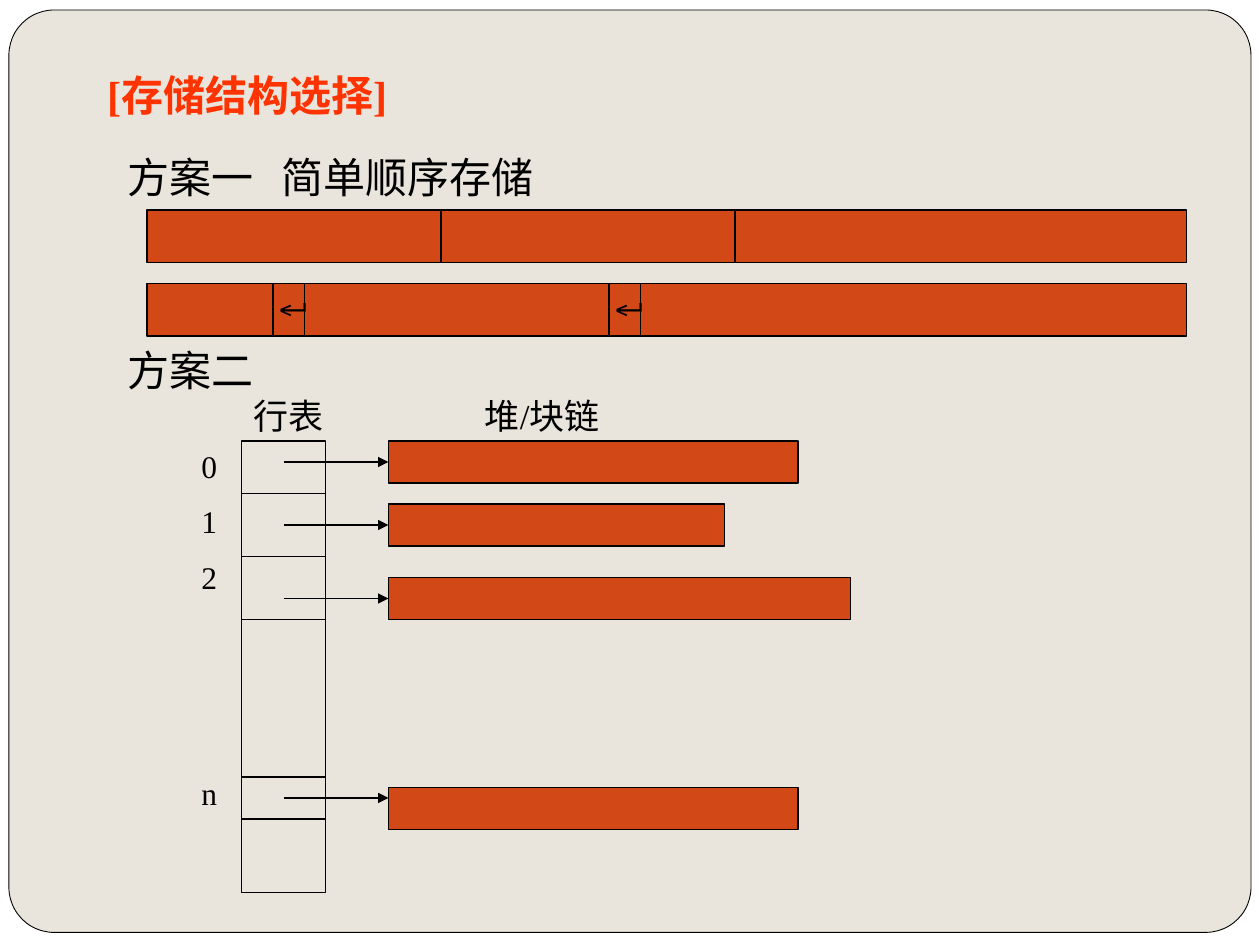
import pptx
import pptx.util
import pptx.dml.color
import pptx.enum.shapes
import pptx.enum.text
import pptx.oxml
import pptx.oxml.ns

Inches, Pt = pptx.util.Inches, pptx.util.Pt
RGB = pptx.dml.color.RGBColor
KIND = pptx.enum.shapes.MSO_SHAPE
WIRE = pptx.enum.shapes.MSO_CONNECTOR.STRAIGHT
NS = pptx.oxml.ns.nsdecls("a")

BLACK = RGB(0x00, 0x00, 0x00)
WHITE = RGB(0xFF, 0xFF, 0xFF)
SAND = RGB(0xE9, 0xE5, 0xDC)
RUST = RGB(0xD3, 0x48, 0x17)
RED = RGB(0xFF, 0x33, 0x00)
FONT = "Times New Roman"
COLS, ROWS = 120, 90

prs = pptx.Presentation()
prs.slide_width, prs.slide_height = Inches(10), Inches(7.5)
CELL = prs.slide_width / COLS


def grid(*cells):
    return [round(c * CELL) for c in cells]


def style(par, size, color=BLACK, bold=False):
    for run in par.runs:
        font = run.font
        font.name, font.size, font.bold = FONT, Pt(size), bold
        font.color.rgb = color


def label(slide, box, text, size, bold=False, tab=None):
    shape = slide.shapes.add_textbox(*grid(*box))
    frame = shape.text_frame
    frame.word_wrap = True
    frame.text = text
    for par in frame.paragraphs:
        if tab:
            stop = f'<a:tabLst {NS}><a:tab pos="{grid(tab)[0]}" algn="l"/></a:tabLst>'
            par._p.get_or_add_pPr().append(pptx.oxml.parse_xml(stop))
        style(par, size, bold=bold)
    return frame


def block(slide, box, fill=RUST, kind=KIND.RECTANGLE, width=0.75):
    shape = slide.shapes.add_shape(kind, *grid(*box))
    shape.shadow.inherit = False
    if fill is None:
        shape.fill.background()
    else:
        shape.fill.solid()
        shape.fill.fore_color.rgb = fill
    shape.line.color.rgb = BLACK
    shape.line.width = Pt(width)
    return shape


def rule(slide, ends, arrow=False):
    wire = slide.shapes.add_connector(WIRE, *grid(*ends))
    wire.line.color.rgb = BLACK
    wire.line.width = Pt(0.75)
    if arrow:
        tip = pptx.oxml.parse_xml(f'<a:tailEnd {NS} type="triangle"/>')
        wire.line._get_or_add_ln().append(tip)
    wire._element.spPr.append(pptx.oxml.parse_xml(f"<a:effectLst {NS}/>"))


def panel(slide, box):
    slide.background.fill.solid()
    slide.background.fill.fore_color.rgb = WHITE
    shape = block(slide, box, SAND, KIND.ROUNDED_RECTANGLE, 0.5)
    shape.adjustments[0] = 0.049
    slide.shapes._spTree.insert(2, shape._element)


def heading(slide, box, text):
    title = slide.shapes.title
    title.left, title.top, title.width, title.height = grid(*box)
    frame = title.text_frame
    frame.text = text
    frame.vertical_anchor = pptx.enum.text.MSO_ANCHOR.MIDDLE
    par = frame.paragraphs[0]
    par.alignment = pptx.enum.text.PP_ALIGN.LEFT
    style(par, 24, RED, True)


def strip(slide, box, cuts, marks=()):
    x, y, w, h = box
    block(slide, box)
    for mark in marks:
        label(slide, (x + mark - 1, y, 6, h), "↵", 20, True)
    for cut in cuts:
        rule(slide, (x + cut, y, x + cut, y + h))


def table(slide, box, cuts, links):
    x, y, w, h = box
    block(slide, box, None)
    for cut in cuts:
        rule(slide, (x, y + cut, x + w, y + cut))
    for top, wide, tip in links:
        block(slide, (x + 14, y + top, wide, 4))
        rule(slide, (x + w / 2, y + tip, x + 14, y + tip), True)
    label(slide, (x, y - 5, 16, 5), "行表", 20)
    label(slide, (x + 22, y - 5, 17, 5), "堆/块链", 20)
    keys = label(slide, (x - 5, y, 7, 37), "0\n1\n2\nn", 18)
    for par, gap in zip(keys.paragraphs[1:], (10, 10, 102)):
        par.space_before = Pt(gap)


def main():
    slide = prs.slides.add_slide(prs.slide_layouts[5])
    panel(slide, (0.85, 0.95, 118.3, 87.85))
    heading(slide, (9, 5, 102, 8), "[存储结构选择]")
    label(slide, (11, 13.8, 102, 6), "方案一\t简单顺序存储", 24, tab=14.6)
    strip(slide, (14, 20, 99, 5), (28, 56))
    strip(slide, (14, 27, 99, 5), (12, 15, 44, 47), (12, 44))
    label(slide, (11, 32.2, 26, 7), "方案二", 24)
    table(slide, (23, 42, 8, 43), (5, 11, 17, 32, 36),
          ((0, 39, 2), (6, 32, 8), (13, 44, 15), (33, 39, 34)))
    prs.save("out.pptx")


if __name__ == "__main__":
    main()
